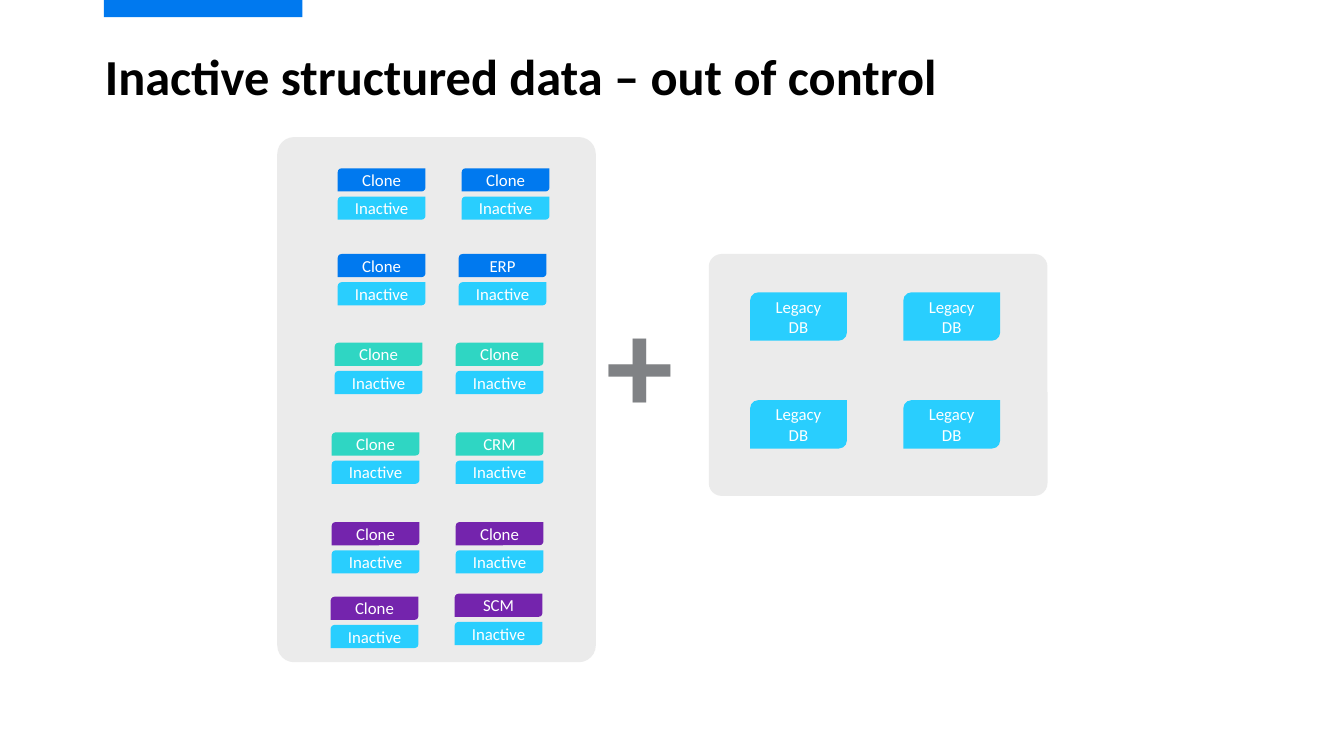
from lxml.etree import SubElement
from pptx import Presentation
from pptx.dml.color import RGBColor
from pptx.enum.shapes import MSO_SHAPE as Shape
from pptx.enum.text import MSO_ANCHOR as Anchor, MSO_AUTO_SIZE as AutoSize, PP_ALIGN as Align
from pptx.oxml.ns import qn
from pptx.util import Inches, Pt

COLORS = {
    "black": "000000", "white": "FFFFFF", "panel": "D9D9D9", "plus": "808285",
    "blue": "0079EF", "cyan": "29CEFE", "teal": "2FD6C3", "purple": "7424AD",
}
FONT = "Calibri"
TAG_SIZE = (0.87, 0.23)
TAG_PITCH = 0.28
LEGACY_SIZE = (0.96, 0.48)

# Each entry: label, colour, left, top of the application tag
APPLICATIONS = [
    ("Clone", "blue", 3.35, 1.67), ("Clone", "blue", 4.58, 1.67),
    ("Clone", "blue", 3.35, 2.52), ("ERP", "blue", 4.55, 2.52),
    ("Clone", "teal", 3.32, 3.40), ("Clone", "teal", 4.52, 3.40),
    ("Clone", "teal", 3.29, 4.29), ("CRM", "teal", 4.52, 4.29),
    ("Clone", "purple", 3.29, 5.18), ("Clone", "purple", 4.52, 5.18),
    ("Clone", "purple", 3.28, 5.92), ("SCM", "purple", 4.51, 5.89),
]


def write_text(frame, text, size=12, color="white", bold=False, align=Align.CENTER,
               anchor=Anchor.MIDDLE, wrap=True):
    frame.word_wrap = wrap
    frame.vertical_anchor = anchor
    paragraph = frame.paragraphs[0]
    paragraph.text = text
    paragraph.alignment = align
    for run in paragraph.runs:
        run.font.name = FONT
        run.font.size = Pt(size)
        run.font.bold = bold
        run.font.color.rgb = RGBColor.from_string(COLORS[color])
    # Line breaks take the same size as the words around them
    for line_break in paragraph._p.findall(qn("a:br")):
        SubElement(line_break, qn("a:rPr")).set("sz", str(size * 100))
    return paragraph


def add_block(slide, kind, left, top, width, height, color):
    block = slide.shapes.add_shape(
        kind, Inches(left), Inches(top), Inches(width), Inches(height))
    block.shadow.inherit = False
    block.fill.solid()
    block.fill.fore_color.rgb = RGBColor.from_string(COLORS[color])
    block.line.fill.background()
    return block


def add_panel(slide, left, top, width, height):
    panel = add_block(slide, Shape.ROUNDED_RECTANGLE, left, top, width, height, "panel")
    panel.adjustments[0] = 0.053
    # Half transparent fill
    color_element = panel._element.spPr.find(qn("a:solidFill"))[0]
    SubElement(color_element, qn("a:alpha")).set("val", "50000")


def add_tag(slide, text, color, left, top, size=TAG_SIZE):
    tag = add_block(slide, Shape.ROUND_2_DIAG_RECTANGLE, left, top, *size, color)
    write_text(tag.text_frame, text)


def add_title(slide, text):
    title = slide.shapes.title
    title.left, title.top = Inches(1.04), Inches(0.47)
    title.width, title.height = Inches(11.28), Inches(1.18)
    frame = title.text_frame
    frame.auto_size = AutoSize.NONE
    frame.margin_left = 0
    heading = write_text(frame, text, size=36, color="black", bold=True,
                         align=Align.LEFT, anchor=Anchor.TOP)
    heading.line_spacing = 0.9


def add_plus(slide):
    plus = slide.shapes.add_textbox(
        Inches(5.92), Inches(2.72), Inches(0.99), Inches(1.72))
    sign = write_text(plus.text_frame, "+", size=96, color="plus", bold=True,
                      align=Align.LEFT, anchor=Anchor.TOP, wrap=False)
    sign.space_after = Pt(5.3)
    plus.text_frame.auto_size = AutoSize.SHAPE_TO_FIT_TEXT


def main():
    deck = Presentation()
    deck.slide_width, deck.slide_height = Inches(13.33), Inches(7.5)
    slide = deck.slides.add_slide(deck.slide_layouts[5])

    # Heading
    add_block(slide, Shape.RECTANGLE, 1.03, 0, 1.97, 0.17, "blue")
    add_title(slide, "Inactive structured data – out of control")

    # Applications, each with its inactive data below
    add_panel(slide, 2.75, 1.36, 3.16, 5.21)
    for label, color, left, top in APPLICATIONS:
        add_tag(slide, label, color, left, top)
        add_tag(slide, "Inactive", "cyan", left, top + TAG_PITCH)

    # Legacy databases
    add_panel(slide, 7.03, 2.52, 3.36, 2.4)
    for top in (2.9, 3.97):
        for left in (7.44, 8.96):
            add_tag(slide, "Legacy\nDB", "cyan", left, top, LEGACY_SIZE)

    add_plus(slide)
    deck.save("out.pptx")


if __name__ == "__main__":
    main()
